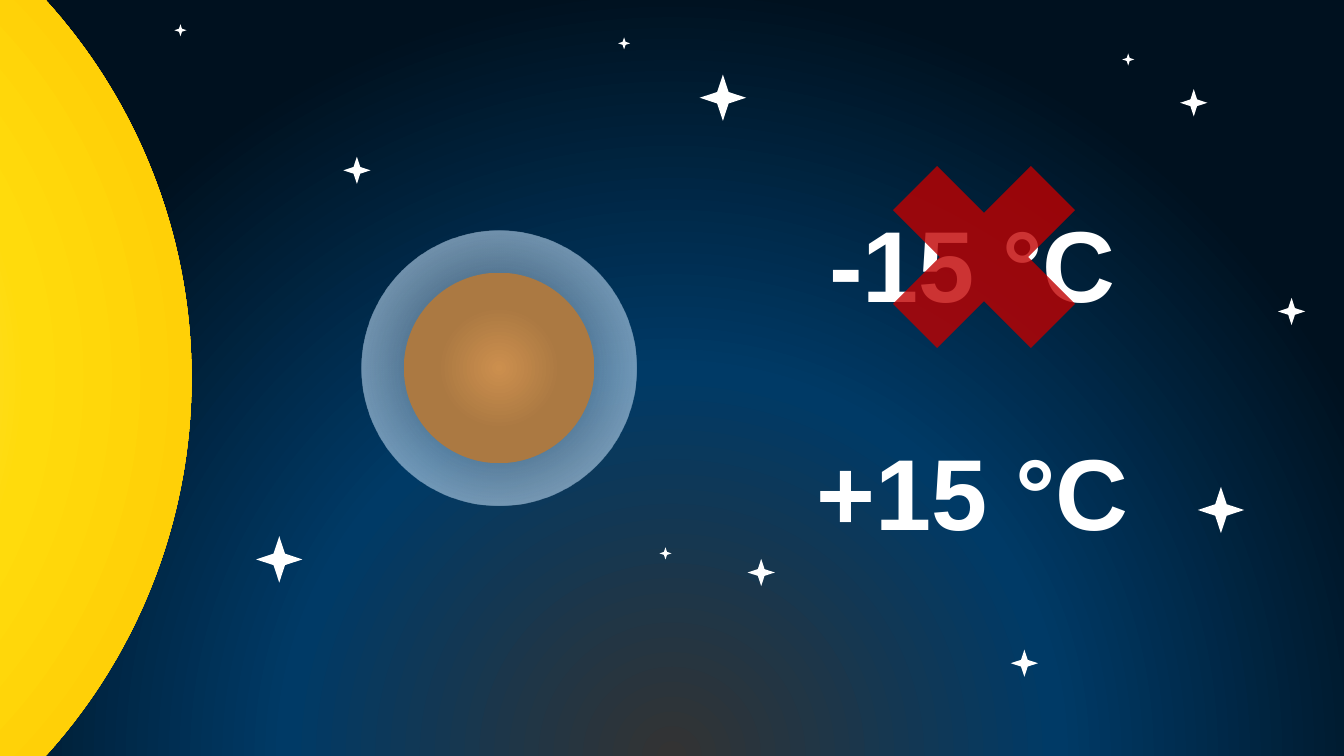
from lxml import etree
from pptx import Presentation
from pptx.dml.color import RGBColor
from pptx.enum.shapes import MSO_SHAPE
from pptx.enum.text import PP_ALIGN
from pptx.oxml.ns import qn
from pptx.util import Inches, Pt

RECTANGLE, OVAL = MSO_SHAPE.RECTANGLE, MSO_SHAPE.OVAL
STAR, CROSS = MSO_SHAPE.STAR_4_POINT, MSO_SHAPE.MATH_MULTIPLY
CENTER = PP_ALIGN.CENTER

WIDTH, HEIGHT = 13.33, 7.5
WHITE = "FFFFFF"

# Star centres by diameter, in inches
STARS = {
    0.46: [(2.77, 5.55), (7.17, 0.97), (12.11, 5.06)],
    0.27: [(7.55, 5.68), (11.84, 1.02), (3.54, 1.69), (12.81, 3.09), (10.16, 6.58)],
    0.12: [(6.19, 0.43), (11.19, 0.59), (6.6, 5.49), (1.79, 0.3)],
}


def rgb(color):
    return RGBColor.from_string(color)


def add_color(parent, color, opacity=100):
    node = etree.SubElement(parent, qn("a:srgbClr"), val=color)
    if opacity < 100:
        etree.SubElement(node, qn("a:alpha"), val=str(opacity * 1000))


def add_body(slide, kind, center, width, height):
    """Add an outline-free shape around its centre point."""
    x, y = center
    body = slide.shapes.add_shape(kind, Inches(x - width / 2), Inches(y - height / 2),
                                  Inches(width), Inches(height))
    body.shadow.inherit = False
    body.line.fill.background()
    return body


def fill_solid(body, color, opacity=100):
    body.fill.solid()
    body.fill.fore_color.rgb = rgb(color)
    if opacity < 100:
        node = body._element.spPr.find(qn("a:solidFill")).find(qn("a:srgbClr"))
        etree.SubElement(node, qn("a:alpha"), val=str(opacity * 1000))


def fill_radial(body, stops, focus_y=50):
    """Fill with a circular gradient of (percent, colour, opacity) stops."""
    body.fill.gradient()
    gradient = body._element.spPr.find(qn("a:gradFill"))
    for child in list(gradient):
        gradient.remove(child)
    stop_list = etree.SubElement(gradient, qn("a:gsLst"))
    for position, *color in stops:
        stop = etree.SubElement(stop_list, qn("a:gs"), pos=str(position * 1000))
        add_color(stop, *color)
    radial = etree.SubElement(gradient, qn("a:path"), path="circle")
    etree.SubElement(radial, qn("a:fillToRect"), l="50000", t=str(focus_y * 1000),
                     r="50000", b=str((100 - focus_y) * 1000))


def add_disc(slide, center, diameter, stops):
    fill_radial(add_body(slide, OVAL, center, diameter, diameter), stops)


def add_star(slide, center, diameter):
    star = add_body(slide, STAR, center, diameter, diameter)
    star.adjustments[0] = 0.175
    fill_solid(star, WHITE)


def add_temperatures(slide, lines):
    box = slide.shapes.add_textbox(Inches(7.8), Inches(1.85), Inches(3.69), Inches(3.53))
    frame = box.text_frame
    frame.word_wrap = True
    frame.margin_top = Inches(0.09)
    frame.text = "\n".join(lines)
    for paragraph in frame.paragraphs:
        paragraph.alignment = CENTER
        paragraph.line_spacing = 1.05
        paragraph.space_after = Pt(72)
        font = paragraph.runs[0].font
        font.name, font.size, font.bold = "Arial", Pt(72), True
        font.color.rgb = rgb(WHITE)


def main():
    prs = Presentation()
    prs.slide_width, prs.slide_height = Inches(WIDTH), Inches(HEIGHT)
    slide = prs.slides.add_slide(prs.slide_layouts[6])

    # Night sky
    sky = add_body(slide, RECTANGLE, (WIDTH / 2, HEIGHT / 2), WIDTH, HEIGHT)
    fill_radial(sky, [(0, "333333"), (50, "003A66"), (100, "00111F")], focus_y=130)

    # Planet inside its atmosphere
    planet_center = (4.95, 3.65)
    add_disc(slide, planet_center, 2.73, [(0, "F7FAFD", 0), (74, "B5D2EC", 64)])
    add_disc(slide, planet_center, 1.89,
             [(0, "CC8F4E"), (46, "AB7942"), (100, "AB7942")])

    # Temperatures, the first one crossed out
    add_temperatures(slide, ["-15 °C", "+15 °C"])
    fill_solid(add_body(slide, CROSS, (9.76, 2.55), 2.63, 2.63), "C00000", opacity=80)

    # Stars
    for diameter, centers in STARS.items():
        for center in centers:
            add_star(slide, center, diameter)

    # Sun, reaching in from the left edge
    add_disc(slide, (-3.68, HEIGHT / 2), 11.16,
             [(0, "FFF099"), (50, "FFDB0C"), (100, "FFBF00")])

    prs.save("out.pptx")


if __name__ == "__main__":
    main()
